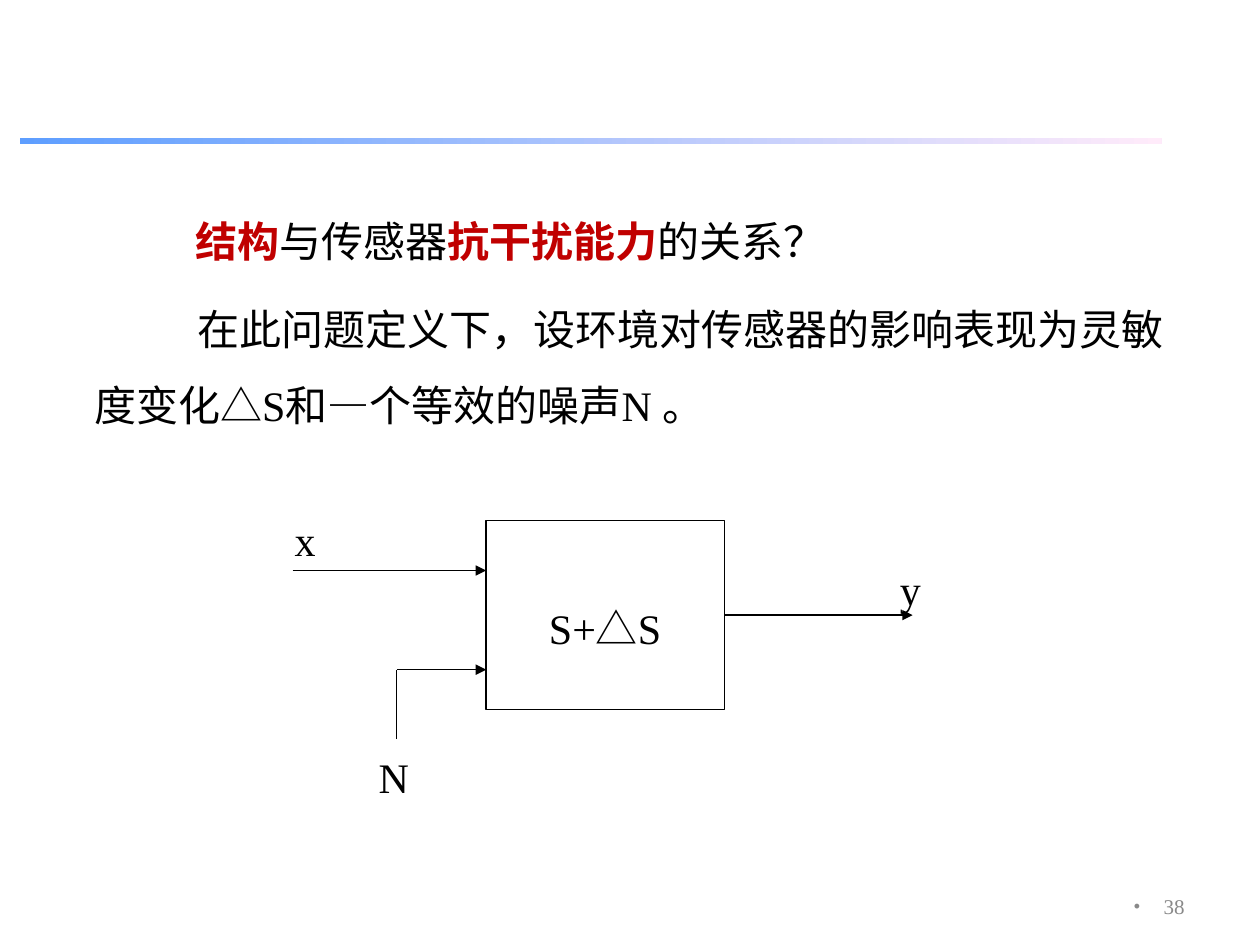
from lxml.etree import SubElement
from pptx import Presentation
from pptx.dml.color import RGBColor
from pptx.enum.shapes import MSO_CONNECTOR, MSO_SHAPE
from pptx.enum.text import MSO_ANCHOR, PP_ALIGN
from pptx.oxml.ns import qn
from pptx.util import Cm, Pt

COLORS = {
    "text": "000000",
    "accent": "C00000",
    "number": "898989",
    "rule_start": "5E9EFF",
    "rule_end": "FFEBFA",
}
LATIN = "Times New Roman"
CJK = "Noto Sans CJK SC"


def add_text(paragraph, runs, size=24, line_spacing=1.5, alignment=PP_ALIGN.CENTER):
    for name, value in {"line_spacing": line_spacing, "alignment": alignment}.items():
        setattr(paragraph, name, value)
    for text, color, bold, typeface in runs:
        run = paragraph.add_run()
        run.text = text
        for name, value in {"size": Pt(size), "bold": bold, "name": typeface}.items():
            setattr(run.font, name, value)
        run.font.color.rgb = RGBColor.from_string(COLORS[color])
        SubElement(run.font._element, qn("a:ea"), typeface=CJK)


def add_box(left, top, width, height, anchor=MSO_ANCHOR.TOP):
    box = slide.shapes.add_textbox(Cm(left), Cm(top), Cm(width), Cm(height))
    for name, value in {"word_wrap": True, "vertical_anchor": anchor}.items():
        setattr(box.text_frame, name, value)
    return box.text_frame


presentation = Presentation()
presentation.slide_width = Cm(25.4)
presentation.slide_height = Cm(19.05)
slide = presentation.slides.add_slide(presentation.slide_layouts[6])

rule = slide.shapes.add_shape(MSO_SHAPE.RECTANGLE, Cm(0.4), Cm(2.78), Cm(23.02), Cm(0.12))
rule.shadow.inherit = False
rule.line.fill.background()
rule.fill.gradient()
rule.fill.gradient_angle = 0
for stop, position, color in zip(rule.fill.gradient_stops, (0, 1), ("rule_start", "rule_end")):
    stop.position = position
    stop.color.rgb = RGBColor.from_string(COLORS[color])

body = add_box(1.65, 3.23, 22.81, 5.89)
body.margin_top = Cm(0.6)
question = [
    ("结构", "accent", True, LATIN),
    ("与传感器", "text", False, LATIN),
    ("抗干扰能力", "accent", True, LATIN),
    ("的关系？", "text", False, LATIN),
]
definition = [
    ("在此问题定义下，设环境对传感器的影响表现为灵敏度变化△S和—个等效的噪声N 。", "text", False, LATIN),
]
add_text(body.paragraphs[0], question, alignment=PP_ALIGN.LEFT)
paragraph = body.add_paragraph()
paragraph.space_before = Pt(7.5)
add_text(paragraph, definition, alignment=PP_ALIGN.LEFT)
for paragraph, indent in zip(body.paragraphs, (2.05, 2.08)):
    paragraph._p.get_or_add_pPr().set("indent", str(Cm(indent)))

block = slide.shapes.add_shape(MSO_SHAPE.RECTANGLE, Cm(9.8), Cm(10.5), Cm(4.8), Cm(3.8))
block.shadow.inherit = False
block.fill.background()
block.line.color.rgb = RGBColor.from_string(COLORS["text"])
block.line.width = Pt(0.75)
block.text_frame.word_wrap = False
block.text_frame.vertical_anchor = MSO_ANCHOR.MIDDLE
add_text(
    block.text_frame.paragraphs[0],
    [("S+", "text", False, LATIN), ("△", "text", False, CJK), ("S", "text", False, LATIN)],
)

for start_x, start_y, end_x, end_y, arrow in (
    (14.6, 12.4, 18.4, 12.4, True),
    (5.9, 11.5, 9.8, 11.5, True),
    (8, 13.5, 9.8, 13.5, True),
    (8, 14.9, 8, 13.5, False),
):
    connector = slide.shapes.add_connector(
        MSO_CONNECTOR.STRAIGHT, Cm(start_x), Cm(start_y), Cm(end_x), Cm(end_y)
    )
    connector.line.color.rgb = RGBColor.from_string(COLORS["text"])
    connector.line.width = Pt(0.75)
    if arrow:
        SubElement(connector.line._get_or_add_ln(), qn("a:tailEnd"), type="triangle")
    SubElement(connector._element.spPr, qn("a:effectLst"))

for label, left, top in (("x", 5.3, 9.73), ("y", 17.5, 10.72), ("N", 7.09, 14.52)):
    frame = add_box(left, top, 1.7, 1.78)
    add_text(frame.paragraphs[0], [(label, "text", False, LATIN)])

footer = add_box(18.21, 17.65, 5.92, 1.02, MSO_ANCHOR.MIDDLE)
paragraph = footer.paragraphs[0]
properties = paragraph._p.get_or_add_pPr()
properties.set("marL", str(Cm(0.6)))
properties.set("indent", str(-Cm(0.6)))
bullet_color = SubElement(properties, qn("a:buClr"))
SubElement(bullet_color, qn("a:srgbClr"), val=COLORS["number"])
SubElement(properties, qn("a:buSzPct"), val="85000")
SubElement(properties, qn("a:buFont"), typeface="Arial")
SubElement(properties, qn("a:buChar"), char="•")
add_text(paragraph, [("38", "number", False, LATIN)], 12, 1.4, PP_ALIGN.RIGHT)

presentation.save("out.pptx")
